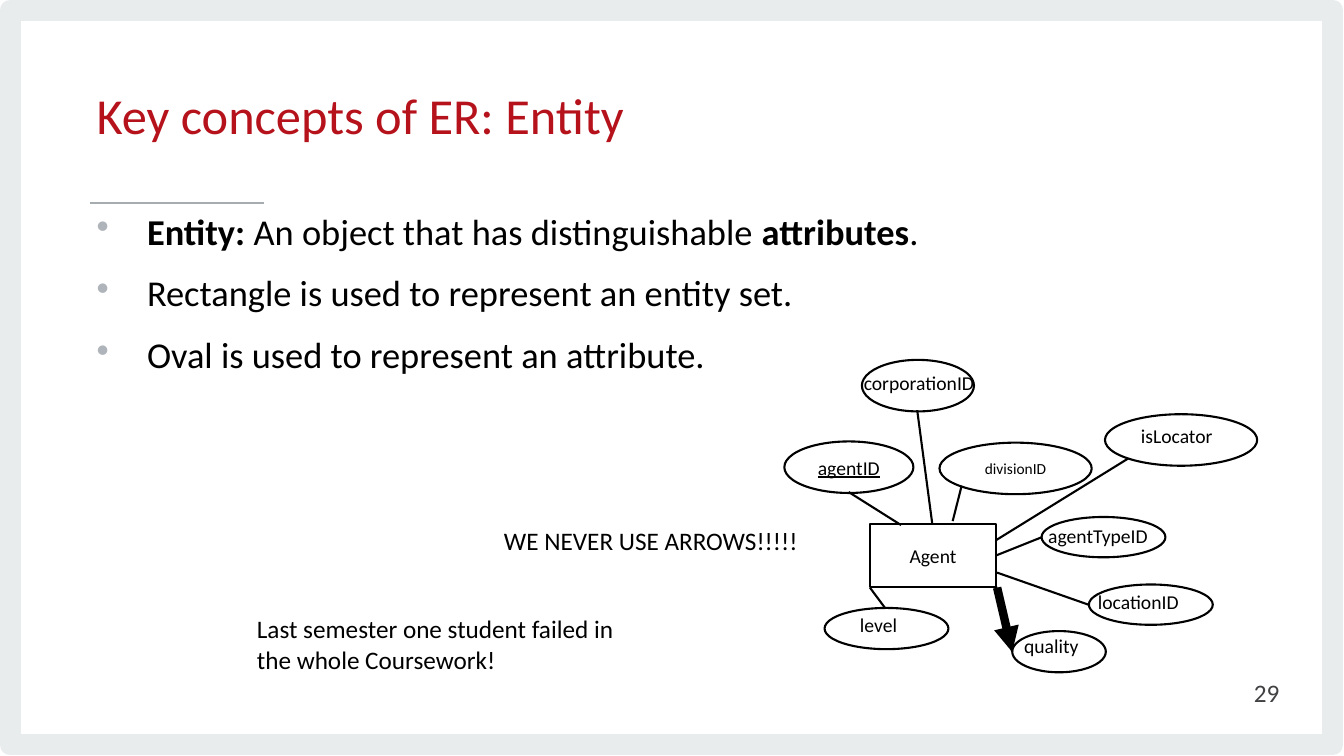
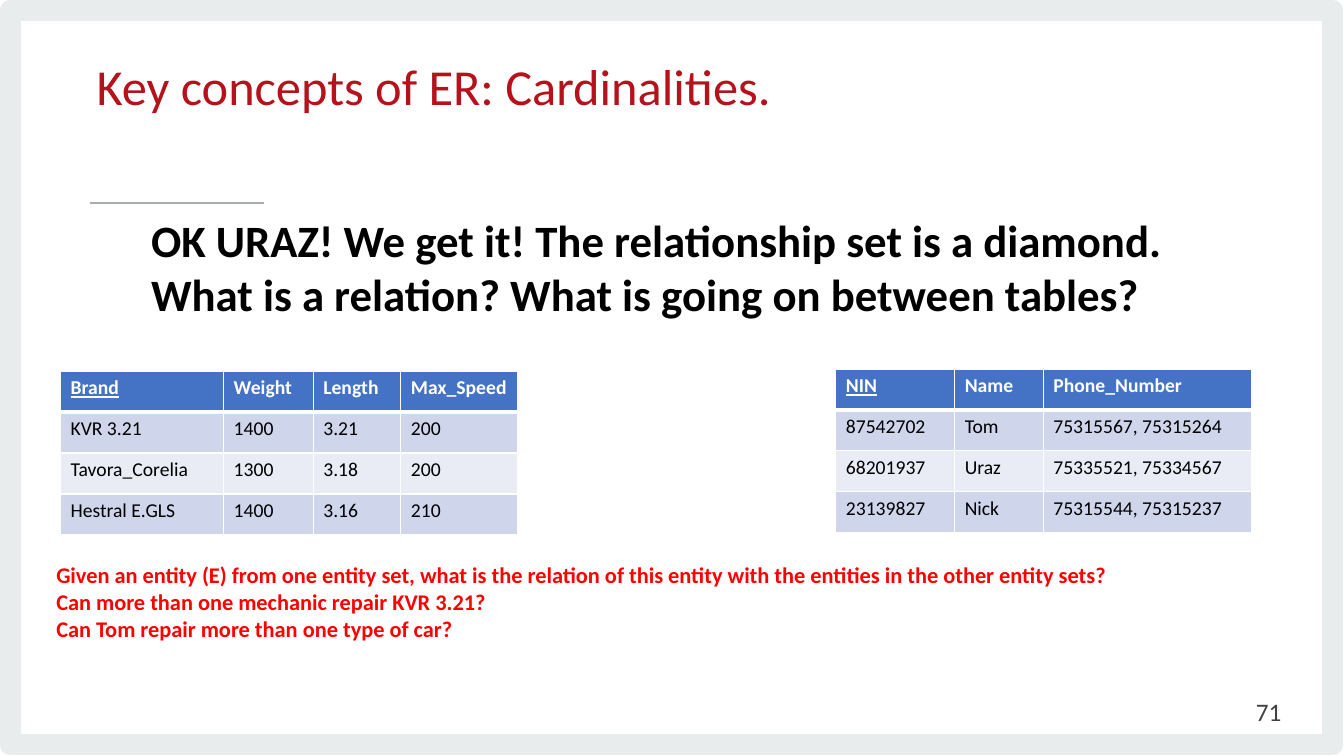
from typing import NamedTuple

from lxml.etree import SubElement
from pptx import Presentation
from pptx.dml.color import RGBColor
from pptx.enum.shapes import MSO_CONNECTOR, MSO_SHAPE
from pptx.enum.text import MSO_ANCHOR, PP_ALIGN
from pptx.oxml.ns import qn
from pptx.util import Inches, Pt

FONT = "Calibri"
BLACK, WHITE, RED = "000000", "FFFFFF", "FF0000"
TITLE_RED, PAGE_GREY = "B5121B", "414042"
FRAME_GREY, RULE_GREY, BULLET_GREY = "E9ECED", "A6ADB1", "AEB4B9"
HEADER_BLUE, BANDS = "4472C4", ("CFD5EA", "E9EBF5")


class Box(NamedTuple):
    """A region in inches; areas and points in it are given in percent."""
    x: float
    y: float
    w: float
    h: float

    def point(self, x, y):
        return self.x + self.w * x / 100, self.y + self.h * y / 100

    def area(self, x, y, w, h):
        return Box(*self.point(x, y), self.w * w / 100, self.h * h / 100)

    def emu(self):
        return [Inches(v) for v in self]


PAGE = Box(0, 0, 13.33, 7.5)


def rgb(value):
    return RGBColor.from_string(value)


def set_font(p, size, color=BLACK, bold=False, underline=False):
    f = p.font
    f.name, f.size, f.bold = FONT, Pt(size), bold
    f.underline = underline
    f.color.rgb = rgb(color)


def set_line(line, color, width):
    line.color.rgb = rgb(color)
    line.width = Pt(width)


def add_text(s, box, lines, size, color=BLACK, bold=False, align=PP_ALIGN.LEFT,
             anchor=MSO_ANCHOR.TOP, wrap=True):
    tf = s.shapes.add_textbox(*box.emu()).text_frame
    tf.word_wrap, tf.vertical_anchor = wrap, anchor
    for i, text in enumerate(lines):
        p = tf.add_paragraph() if i else tf.paragraphs[0]
        p.add_run().text = text
        p.alignment = align
        set_font(p, size, color, bold)
    return tf


def add_line(s, start, end, color=BLACK, width=1.5, arrow=False):
    ends = [Inches(v) for v in (*start, *end)]
    line = s.shapes.add_connector(MSO_CONNECTOR.STRAIGHT, *ends)
    set_line(line.line, color, width)
    sp_pr = line._element.spPr
    if arrow:
        SubElement(sp_pr.find(qn("a:ln")), qn("a:tailEnd"), type="triangle")
    SubElement(sp_pr, qn("a:effectLst"))


def add_outline(s, kind, box, color=BLACK, width=1.5):
    sp = s.shapes.add_shape(kind, *box.emu())
    sp.shadow.inherit = False
    sp.fill.background()
    set_line(sp.line, color, width)
    return sp


def add_base(prs, title, title_box, number, number_box):
    """Add a slide with the shared frame, rule, title and page number."""
    s = prs.slides.add_slide(prs.slide_layouts[6])
    frame = add_outline(s, MSO_SHAPE.RECTANGLE, Box(0.1, 0.1, 13.12, 7.29),
                        FRAME_GREY, 15.11)
    SubElement(frame._element.spPr.find(qn("a:ln")), qn("a:round"))
    add_line(s, PAGE.point(6.68, 26.8), PAGE.point(19.65, 26.8), RULE_GREY, 1.33)
    tf = add_text(s, title_box, [title], 36, TITLE_RED, anchor=MSO_ANCHOR.MIDDLE)
    tf.paragraphs[0].line_spacing = Pt(34.7)
    add_text(s, number_box, [number], 18, PAGE_GREY, align=PP_ALIGN.RIGHT,
             anchor=MSO_ANCHOR.MIDDLE)
    return s


def add_bullets(s, box, lines):
    """Add bulleted lines; words between ** marks are bold."""
    tf = s.shapes.add_textbox(*box.emu()).text_frame
    tf.word_wrap = True
    for i, text in enumerate(lines):
        p = tf.add_paragraph() if i else tf.paragraphs[0]
        for j, words in enumerate(text.split("**")):
            if words:
                r = p.add_run()
                r.text, r.font.bold = words, j % 2 == 1
        p.line_spacing, p.space_after = 0.9, Pt(6)
        if i:
            p.space_before = Pt(10)
        p_pr = p._p.get_or_add_pPr()
        p_pr.set("marL", str(Inches(0.5)))
        p_pr.set("indent", str(-Inches(0.5)))
        SubElement(SubElement(p_pr, qn("a:buClr")), qn("a:srgbClr"), val=BULLET_GREY)
        SubElement(p_pr, qn("a:buChar"), char="•")
        set_font(p, 26)


def add_node(s, kind, box, name, size=14, underline=False):
    """Add an outlined node with its name centred inside."""
    sp = add_outline(s, kind, box)
    tf = sp.text_frame
    tf.word_wrap, tf.vertical_anchor = False, MSO_ANCHOR.MIDDLE
    p = tf.paragraphs[0]
    p.add_run().text = name
    p.alignment = PP_ALIGN.CENTER
    set_font(p, size, underline=underline)
    return sp


def add_er_diagram(s, box):
    add_line(s, box.point(45, 72.9), box.point(48.2, 93.5), width=6, arrow=True)
    agent = add_node(s, MSO_SHAPE.RECTANGLE, box.area(18.1, 52.6, 26.7, 20), "Agent")
    agent.fill.solid()
    agent.fill.fore_color.rgb = rgb(WHITE)
    add_node(s, MSO_SHAPE.OVAL, box.area(0, 26.1, 27.3, 16.5), "agentID",
             underline=True)
    add_node(s, MSO_SHAPE.OVAL, box.area(32.8, 26.5, 32.2, 16.5), "divisionID", 11)
    # name, oval, top left of the label
    attributes = [
        ("agentTypeID", (54.4, 50.3, 26.2, 12.9), (53.7, 51)),
        ("locationID", (64.4, 71.9, 26.2, 12.9), (64.2, 71.9)),
        ("level", (8.5, 79.4, 26.2, 13.2), (13.9, 79.4)),
        ("quality", (48.2, 86.8, 19.8, 13.2), (48.6, 86.1)),
        ("isLocator", (67.8, 17.4, 32.2, 16.5), (73.3, 19)),
        ("corporationID", (16.4, 0, 23.7, 16.5), (14.7, 1.9)),
    ]
    for name, oval, corner in attributes:
        add_outline(s, MSO_SHAPE.OVAL, box.area(*oval))
        add_text(s, box.area(*corner, 36, 11), [name], 14)
    # attribute end, entity end
    links = [
        ((13.6, 42.3), (24.7, 52.9)),
        ((37.5, 40.3), (35.6, 51.6)),
        ((54.4, 56.8), (44.8, 62.6)),
        ((48.2, 93.5), (44.8, 72.6)),
        ((21.3, 79.4), (18.1, 72.9)),
        ((64.4, 78.4), (45, 68.1)),
        ((72.7, 31.6), (44.8, 57.7)),
        ((28.1, 16.1), (31.3, 52.6)),
    ]
    for start, end in links:
        add_line(s, box.point(*start), box.point(*end))


def set_borders(cell, bottom):
    tc_pr = cell._tc.get_or_add_tcPr()
    for i, (side, width) in enumerate(zip("LRTB", (1, 1, 1, bottom))):
        ln = tc_pr.makeelement(qn(f"a:ln{side}"), {"w": str(Pt(width))})
        SubElement(SubElement(ln, qn("a:solidFill")), qn("a:srgbClr"), val=WHITE)
        tc_pr.insert(i, ln)


def add_data_table(s, box, widths, rows):
    """Add a banded table; the first column's heading is the underlined key."""
    table = s.shapes.add_table(len(rows), len(widths), *box.emu()).table
    for col, width in zip(table.columns, widths):
        col.width = Inches(box.w * width / sum(widths))
    for i, row in enumerate(rows):
        header = i == 0
        for j, text in enumerate(row):
            cell = table.cell(i, j)
            cell.fill.solid()
            cell.fill.fore_color.rgb = rgb(HEADER_BLUE if header else BANDS[(i - 1) % 2])
            set_borders(cell, 3 if header else 1)
            p = cell.text_frame.paragraphs[0]
            p.add_run().text = text
            set_font(p, 14, WHITE if header else BLACK, header, header and j == 0)


def add_entity_slide(prs, page):
    s = add_base(prs, "Key concepts of ER: Entity", page.area(6.45, 6.93, 65.94, 17.87),
                 "29", page.area(73.44, 88.93, 22.5, 5.33))
    add_text(s, page.area(36.76, 68.8, 23.56, 5.33), ["WE NEVER USE ARROWS!!!!!"], 18,
             wrap=False)
    add_text(s, page.area(18.38, 80.53, 30.83, 9.47),
             ["Last semester one student failed in the whole Coursework!"], 18)
    add_bullets(s, page.area(6.45, 27.6, 79.9, 56.27), [
        "**Entity: **An object that has distinguishable **attributes**.",
        "Rectangle is used to represent an entity set.",
        "Oval is used to represent an attribute.",
    ])
    add_er_diagram(s, page.area(58.36, 47.6, 35.18, 41.33))


def add_cardinality_slide(prs, page):
    s = add_base(prs, "Key concepts of ER: Cardinalities.",
                 page.area(6.45, 6.93, 65.94, 10.4),
                 "71", page.area(73.59, 91.47, 22.5, 5.33))
    add_data_table(s, page.area(4.5, 49.07, 34.02, 21.7), (1.62, 0.89, 0.87, 1.16), [
        ("Brand", "Weight", "Length", "Max_Speed"),
        ("KVR 3.21", "1400", "3.21", "200"),
        ("Tavora_Corelia", "1300", "3.18", "200"),
        ("Hestral E.GLS", "1400", "3.16", "210"),
    ])
    add_data_table(s, page.area(62.19, 48.8, 30.95, 21.7), (1.18, 0.88, 2.07), [
        ("NIN", "Name", "Phone_Number"),
        ("87542702", "Tom", "75315567, 75315264"),
        ("68201937", "Uraz", "75335521, 75334567"),
        ("23139827", "Nick", "75315544, 75315237"),
    ])
    add_text(s, page.area(10.5, 27.47, 78.92, 15.73),
             ["OK URAZ! We get it! The relationship set is a diamond. "
              "What is a relation? What is going on between tables?"], 32, bold=True)
    add_text(s, page.area(3.45, 73.6, 82.3, 15.73), [
        "Given an entity (E) from one entity set, what is the relation of this entity "
        "with the entities in the other entity sets?",
        "Can more than one mechanic repair KVR 3.21?",
        "Can Tom repair more than one type of car?",
    ], 16, RED, bold=True)


def main():
    prs = Presentation()
    prs.slide_width, prs.slide_height = Inches(PAGE.w), Inches(PAGE.h)
    add_entity_slide(prs, PAGE)
    add_cardinality_slide(prs, PAGE)
    prs.save("out.pptx")


if __name__ == "__main__":
    main()
